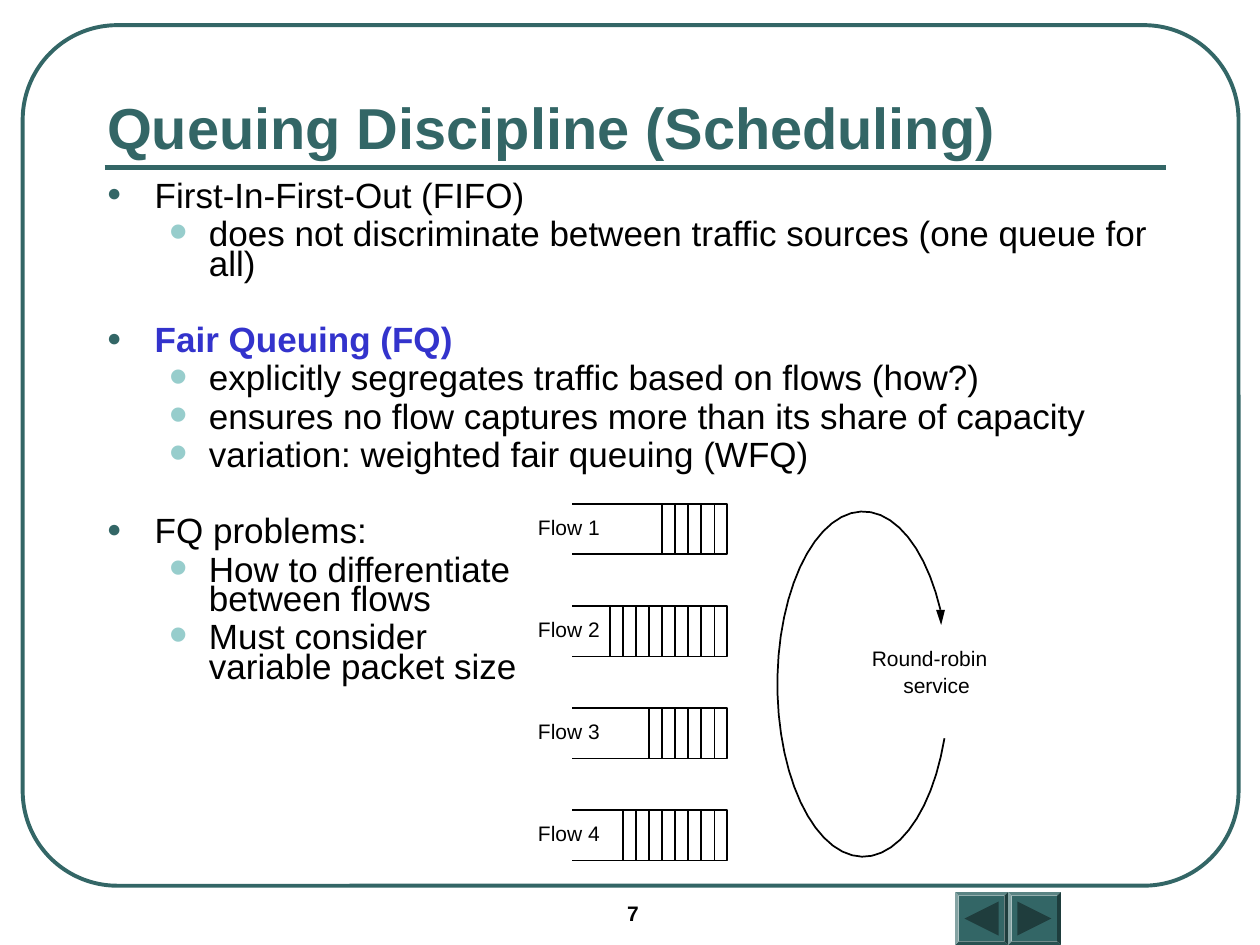
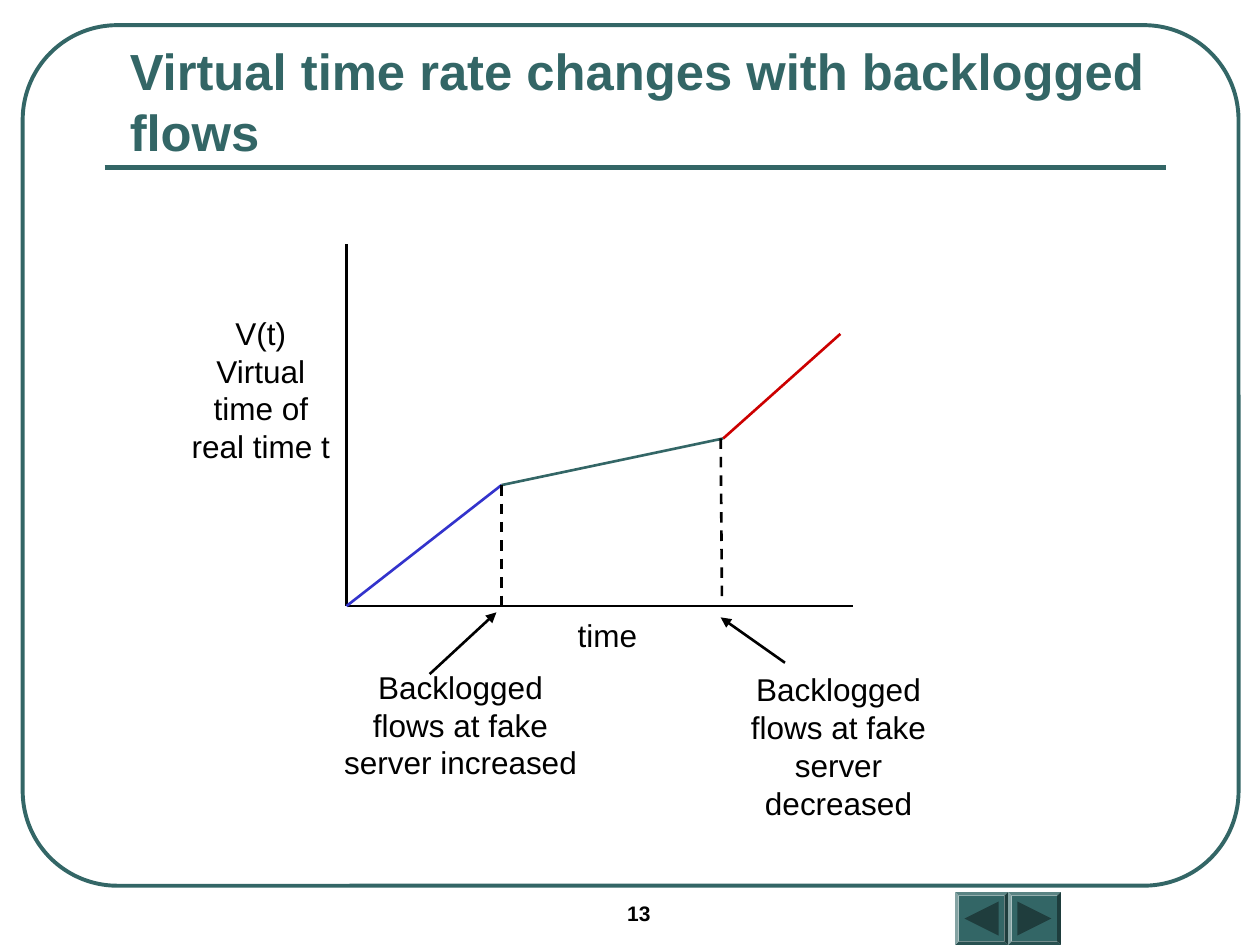
from dataclasses import dataclass
from math import cos, radians, sin

from lxml.etree import SubElement
from pptx import Presentation
from pptx.dml.color import RGBColor
from pptx.enum.dml import MSO_LINE
from pptx.enum.shapes import MSO_CONNECTOR, MSO_SHAPE
from pptx.enum.text import MSO_ANCHOR, MSO_AUTO_SIZE, PP_ALIGN
from pptx.oxml.ns import qn
from pptx.util import Inches, Pt


@dataclass(frozen=True)
class Theme:
    font: str = "Arial"
    teal: str = "336666"
    dark_teal: str = "1F3D3D"
    pale_teal: str = "97CDCC"
    black: str = "000000"
    blue: str = "3333CC"
    red: str = "CC0000"
    body_size: int = 20
    chart_size: int = 18
    small_size: int = 12
    line_spacing: float = 0.7
    space_before: float = 5
    section_gap: float = 27


THEME = Theme()

# Bullet character, colour, size in percent, left margin and hanging indent
BULLETS = (
    ("●", THEME.teal, 70, 0.38, 0.38),
    ("•", THEME.pale_teal, 150, 0.81, 0.31),
)

# Level and text of each bullet on the scheduling slide
DISCIPLINES = (
    (0, "First-In-First-Out (FIFO)"),
    (1, "does not discriminate between traffic sources (one queue for all)"),
    (0, "Fair Queuing (FQ)"),
    (1, "explicitly segregates traffic based on flows (how?)"),
    (1, "ensures no flow captures more than its share of capacity"),
    (1, "variation: weighted fair queuing (WFQ)"),
    (0, "FQ problems:"),
    (1, "How to differentiate\vbetween flows"),
    (1, "Must consider\vvariable packet size"),
)

PACKETS_PER_FLOW = (5, 9, 6, 8)


# Basic elements

def color(value):
    return RGBColor.from_string(value)


def format_paragraph(paragraph, size, ink=THEME.black, bold=False, align=PP_ALIGN.LEFT):
    paragraph.alignment = align
    for run in paragraph.runs:
        run.font.name = THEME.font
        run.font.size = Pt(size)
        run.font.bold = bold
        run.font.color.rgb = color(ink)


def add_text(slide, text, left, top, width, height, size=THEME.small_size,
             margins=(0, 0), **text_format):
    """Add a text box with one paragraph for each line of text."""
    box = slide.shapes.add_textbox(*map(Inches, (left, top, width, height)))
    frame = box.text_frame
    frame.word_wrap = True
    frame.margin_left = frame.margin_right = Inches(margins[0])
    frame.margin_top = frame.margin_bottom = Inches(margins[1])
    frame.text = text
    for paragraph in frame.paragraphs:
        format_paragraph(paragraph, size, **text_format)
    return frame


def add_line(slide, start, end, ink=THEME.black, width=1.5, dashed=False, arrow=False):
    connector = slide.shapes.add_connector(
        MSO_CONNECTOR.STRAIGHT, *map(Inches, (*start, *end)))
    connector.line.color.rgb = color(ink)
    connector.line.width = Pt(width)
    if dashed:
        connector.line.dash_style = MSO_LINE.DASH
    if arrow:
        SubElement(connector.line._get_or_add_ln(), qn("a:tailEnd"), type="triangle")
    SubElement(connector._element.spPr, qn("a:effectLst"))


def paint(shape, fill=None, ink=None, width=1):
    shape.shadow.inherit = False
    if fill:
        shape.fill.solid()
        shape.fill.fore_color.rgb = color(fill)
    else:
        shape.fill.background()
    if ink:
        shape.line.color.rgb = color(ink)
        shape.line.width = Pt(width)
    else:
        shape.line.fill.background()


def add_outline(slide, points, close=False, **style):
    first, *rest = [(Inches(x), Inches(y)) for x, y in points]
    builder = slide.shapes.build_freeform(*first)
    builder.add_line_segments(rest, close=close)
    paint(builder.convert_to_shape(), **style)


# Slide frame, title and footer

def add_navigation_button(slide, left, direction):
    top, side = 7.08, 0.42
    button = slide.shapes.add_shape(
        MSO_SHAPE.BEVEL, *map(Inches, (left, top, side, side)))
    button.adjustments[0] = 0.07
    paint(button, fill=THEME.teal)
    middle_x, middle_y, reach = left + side / 2, top + side / 2, 0.135 * direction
    add_outline(slide, [(middle_x + reach, middle_y),
                        (middle_x - reach, middle_y - 0.135),
                        (middle_x - reach, middle_y + 0.135)],
                close=True, fill=THEME.dark_teal)


def add_base_slide(presentation, title, number, title_box, title_size):
    slide = presentation.slides.add_slide(presentation.slide_layouts[5])

    border = slide.shapes.add_shape(
        MSO_SHAPE.ROUNDED_RECTANGLE, *map(Inches, (0.18, 0.2, 9.65, 6.83)))
    border.adjustments[0] = 0.11
    paint(border, ink=THEME.teal, width=2.25)
    add_line(slide, (0.83, 1.33), (9.25, 1.33), ink=THEME.teal, width=3)
    add_navigation_button(slide, 7.58, -1)
    add_navigation_button(slide, 8, 1)
    add_text(slide, str(number), 4.88, 7.1, 1.17, 0.33, margins=(0.1, 0.05), bold=True)

    holder = slide.shapes.title
    holder.left, holder.top, holder.width, holder.height = map(Inches, title_box)
    frame = holder.text_frame
    frame.text = title
    frame.word_wrap = True
    frame.auto_size = MSO_AUTO_SIZE.NONE
    frame.vertical_anchor = MSO_ANCHOR.BOTTOM
    format_paragraph(frame.paragraphs[0], title_size, ink=THEME.teal, bold=True)
    return slide


# Scheduling slide

def add_bullet(paragraph, level):
    character, ink, percent, margin, hanging = BULLETS[level]
    properties = paragraph._p.get_or_add_pPr()
    properties.set("marL", str(Inches(margin)))
    properties.set("indent", str(-Inches(hanging)))
    bullet_color = SubElement(properties, qn("a:buClr"))
    SubElement(bullet_color, qn("a:srgbClr"), val=ink)
    SubElement(properties, qn("a:buSzPct"), val=str(percent * 1000))
    SubElement(properties, qn("a:buFont"), typeface=THEME.font)
    SubElement(properties, qn("a:buChar"), char=character)


def add_bullet_list(slide, items):
    frame = add_text(slide, "\n".join(text for level, text in items),
                     0.75, 1.42, 8.5, 4.5, size=THEME.body_size, margins=(0.1, 0.05))
    for index, (paragraph, (level, text)) in enumerate(zip(frame.paragraphs, items)):
        starts_section = index > 0 and level == 0
        paragraph.level = level
        paragraph.line_spacing = THEME.line_spacing
        paragraph.space_before = Pt(
            THEME.section_gap if starts_section else THEME.space_before)
        add_bullet(paragraph, level)
        if text.startswith("Fair Queuing"):
            format_paragraph(paragraph, THEME.body_size, ink=THEME.blue, bold=True)


def add_queue(slide, label, top, packets):
    left, right, bottom = 4.54, 5.77, top + 0.4
    last_divider, packet_width = 5.67, 0.83 / 8
    add_outline(slide, [(left, bottom), (right, bottom), (right, top), (left, top)],
                ink=THEME.black)
    for packet in range(packets):
        x = last_divider - packet * packet_width
        add_line(slide, (x, top), (x, bottom), width=1)
    add_text(slide, label, 4.27, top + 0.08, 0.56, 0.2)


def add_service_loop(slide):
    center_x, center_y, radius_x, radius_y = 6.85, 5.43, 0.68, 1.37
    start, end, steps = 18.3, 334.5, 48
    angles = [radians(start + (end - start) * step / steps) for step in range(steps + 1)]
    add_outline(slide, [(center_x + radius_x * cos(angle), center_y + radius_y * sin(angle))
                        for angle in angles], ink=THEME.black)
    add_outline(slide, [(7.43, 4.84), (7.5, 4.84), (7.47, 4.96)],
                close=True, fill=THEME.black)
    add_text(slide, "Round-robin", 6.92, 5.12, 1, 0.2)
    add_text(slide, "service", 7.17, 5.34, 0.6, 0.2)


def build_scheduling_slide(presentation):
    slide = add_base_slide(presentation, "Queuing Discipline (Scheduling)", 7,
                           (0.75, 0.08, 8.5, 1.25), 33)
    add_bullet_list(slide, DISCIPLINES)
    for index, packets in enumerate(PACKETS_PER_FLOW):
        add_queue(slide, f"Flow {index + 1}", 4 + 0.81 * index, packets)
    add_service_loop(slide)


# Virtual time slide

def build_virtual_time_slide(presentation):
    slide = add_base_slide(presentation, "Virtual time rate changes with backlogged flows",
                           13, (0.93, 0.58, 8.42, 0.75), 29)
    origin, increase, decrease = (2.75, 4.81), (3.98, 3.85), (5.74, 3.48)

    # Axes
    add_line(slide, (2.75, 1.94), origin)
    add_line(slide, origin, (6.77, 4.81))

    # Virtual time curve
    add_line(slide, origin, increase, ink=THEME.blue)
    add_line(slide, increase, decrease, ink=THEME.teal)
    add_line(slide, decrease, (6.67, 2.65), ink=THEME.red)

    # Moments when the rate changes
    add_line(slide, increase, (3.98, 4.82), dashed=True)
    add_line(slide, (5.72, 3.48), (5.73, 4.77), dashed=True)
    add_line(slide, (3.41, 5.35), (3.94, 4.86), arrow=True)
    add_line(slide, (6.23, 5.26), (5.72, 4.9), arrow=True)

    # Labels
    for text, *box in (
        ("time", 4.51, 4.89, 0.62, 0.3),
        ("V(t)\nVirtual time of real time t", 1.47, 2.49, 1.2, 1.2),
        ("Backlogged flows at fake server increased", 2.73, 5.3, 1.85, 0.9),
        ("Backlogged flows at fake server decreased", 5.81, 5.32, 1.69, 1.2),
    ):
        add_text(slide, text, *box, size=THEME.chart_size, align=PP_ALIGN.CENTER)


def main():
    presentation = Presentation()
    presentation.slide_width = Inches(10)
    presentation.slide_height = Inches(7.5)
    build_scheduling_slide(presentation)
    build_virtual_time_slide(presentation)
    presentation.save("out.pptx")


if __name__ == "__main__":
    main()
